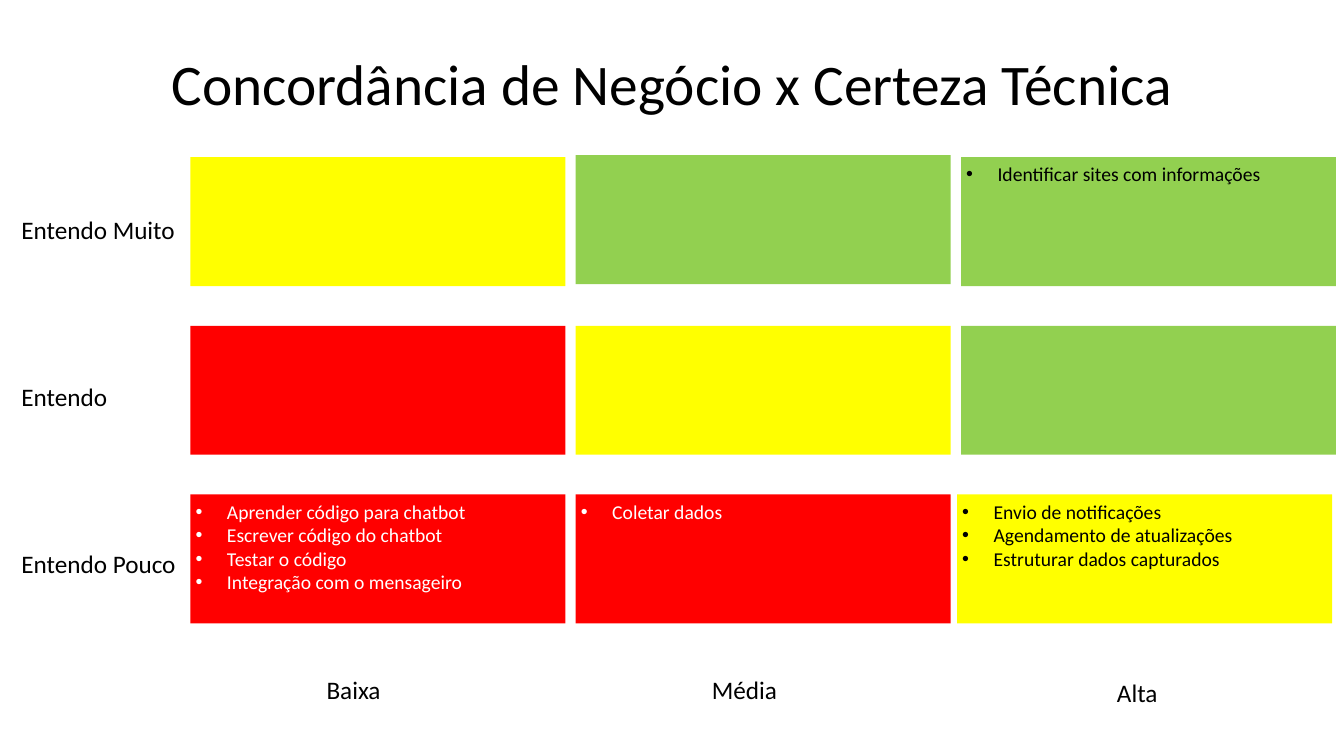
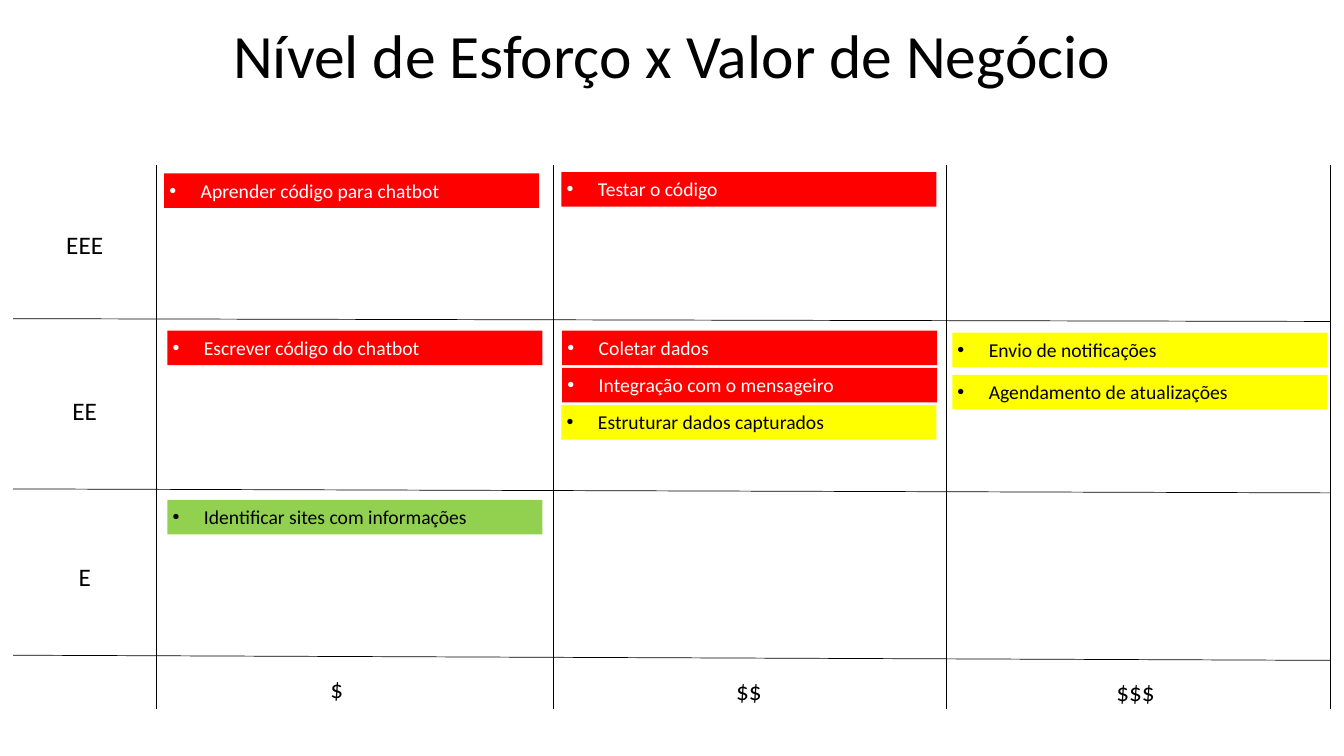
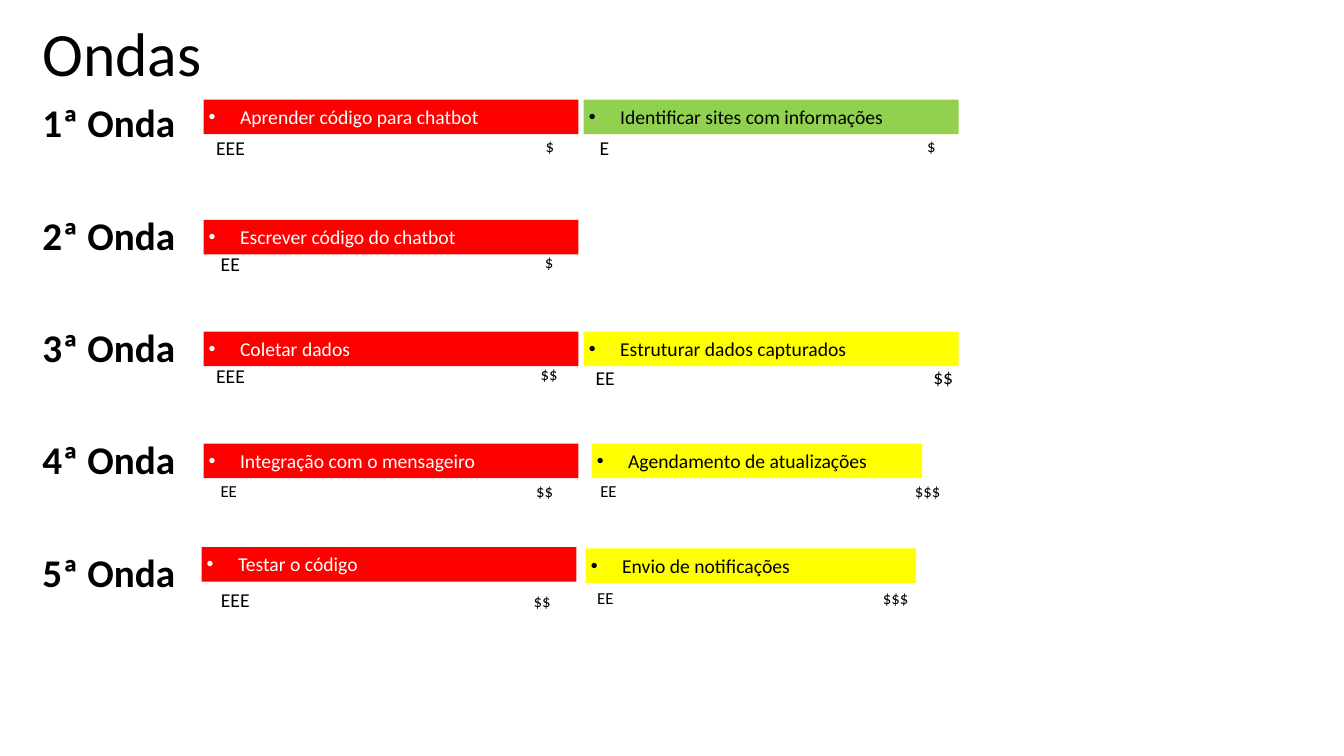
from dataclasses import dataclass

from lxml import etree
from pptx import Presentation
from pptx.dml.color import RGBColor
from pptx.enum.shapes import MSO_CONNECTOR, MSO_SHAPE
from pptx.enum.text import MSO_ANCHOR, MSO_AUTO_SIZE, PP_ALIGN
from pptx.oxml.ns import qn
from pptx.util import Cm, Pt

RECT, LINE = MSO_SHAPE.RECTANGLE, MSO_CONNECTOR.STRAIGHT
TOP, MID, FIXED = MSO_ANCHOR.TOP, MSO_ANCHOR.MIDDLE, MSO_AUTO_SIZE.NONE
LEFT, MIDDLE = PP_ALIGN.LEFT, PP_ALIGN.CENTER

# Shared look; all lengths are in centimetres
FONT = "Calibri"
HUES = {"black": "000000", "white": "FFFFFF", "red": "FF0000",
        "yellow": "FFFF00", "green": "92D050"}
INSET, INDENT = 0.13, 0.79
CARD_W, CARD_H, CELL_H, SLIM_W = 9.45, 0.87, 3.25, 8.33
NOTE_H = {12: 0.77, 14: 0.87, 18: 1.0}


@dataclass
class Task:
    text: str
    hue: str


@dataclass
class Cell:
    hue: str
    keys: tuple = ()
    dx: float = 0
    dy: float = 0


@dataclass
class Card:
    key: str
    x: float
    y: float
    w: float = CARD_W


@dataclass
class Note:
    text: str
    x: float
    y: float
    w: float
    size: int = 18
    align: PP_ALIGN = MIDDLE


TASKS = {
    "learn": Task("Aprender código para chatbot", "red"),
    "write": Task("Escrever código do chatbot", "red"),
    "test": Task("Testar o código", "red"),
    "link": Task("Integração com o mensageiro", "red"),
    "fetch": Task("Coletar dados", "red"),
    "send": Task("Envio de notificações", "yellow"),
    "plan": Task("Agendamento de atualizações", "yellow"),
    "shape": Task("Estruturar dados capturados", "yellow"),
    "sites": Task("Identificar sites com informações", "green"),
}


def rgb(hue: str) -> RGBColor:
    return RGBColor.from_string(HUES[hue])


def set_frame(frame, anchor=TOP) -> None:
    frame.word_wrap = True
    frame.auto_size = FIXED
    frame.vertical_anchor = anchor
    frame.margin_left = frame.margin_right = Cm(INSET)
    frame.margin_top = frame.margin_bottom = Cm(INSET)


def add_run(para, text: str, size: float, hue="black", bold=False) -> None:
    run = para.add_run()
    run.text = text
    font = run.font
    font.name, font.size, font.bold = FONT, Pt(size), bold
    font.color.rgb = rgb(hue)


def add_paras(frame, count: int) -> list:
    return [frame.paragraphs[0]] + [frame.add_paragraph() for _ in range(count - 1)]


def add_bullet(para) -> None:
    props = para._p.get_or_add_pPr()
    props.set("marL", str(Cm(INDENT)))
    props.set("indent", str(-Cm(INDENT)))
    etree.SubElement(props, qn("a:buFont")).set("typeface", "Arial")
    etree.SubElement(props, qn("a:buChar")).set("char", "•")


def add_slide(deck, title: str, x: float, y: float, h: float,
              size: int = 44, align=MIDDLE):
    slide = deck.slides.add_slide(deck.slide_layouts[5])
    head = slide.shapes.title
    head.left, head.top, head.width, head.height = Cm(x), Cm(y), Cm(29.21), Cm(h)
    set_frame(head.text_frame, MID)
    para = head.text_frame.paragraphs[0]
    para.alignment, para.line_spacing = align, 0.9
    add_run(para, title, size)
    return slide


def add_box(slide, x: float, y: float, w: float, h: float,
            hue: str, keys: tuple) -> None:
    box = slide.shapes.add_shape(RECT, Cm(x), Cm(y), Cm(w), Cm(h))
    box.shadow.inherit = False
    box.fill.solid()
    box.fill.fore_color.rgb = rgb(hue)
    box.line.fill.background()
    set_frame(box.text_frame)
    if not keys:
        return
    ink = "white" if hue == "red" else "black"
    for para, key in zip(add_paras(box.text_frame, len(keys)), keys):
        para.alignment = LEFT
        add_bullet(para)
        add_run(para, TASKS[key].text, 14, ink)


def add_card(slide, card: Card) -> None:
    add_box(slide, card.x, card.y, card.w, CARD_H, TASKS[card.key].hue, (card.key,))


def add_note(slide, note: Note) -> None:
    box = slide.shapes.add_textbox(Cm(note.x), Cm(note.y), Cm(note.w),
                                   Cm(NOTE_H[note.size]))
    set_frame(box.text_frame)
    para = box.text_frame.paragraphs[0]
    para.alignment = note.align
    add_run(para, note.text, note.size)


def add_rule(slide, x1: float, y1: float, x2: float, y2: float) -> None:
    rule = slide.shapes.add_connector(LINE, Cm(x1), Cm(y1), Cm(x2), Cm(y2))
    rule.line.color.rgb = rgb("black")
    rule.line.width = Pt(0.5)
    etree.SubElement(rule._element.spPr, qn("a:effectLst"))


# Slide 1: business agreement against technical certainty
GRID = (
    (Cell("yellow"), Cell("green", dy=-0.05), Cell("green", ("sites",))),
    (Cell("red"), Cell("yellow"), Cell("green")),
    (Cell("red", ("learn", "write", "test", "link")), Cell("red", ("fetch",)),
     Cell("yellow", ("send", "plan", "shape"), dx=-0.1)),
)
LEVELS = ("Entendo Muito", "Entendo", "Entendo Pouco")
GRADES = (Note("Baixa", 8.1, 16.87, 1.9, align=LEFT),
          Note("Média", 17.81, 16.87, 2.29, align=LEFT),
          Note("Alta", 28.02, 16.94, 1.85, align=LEFT))


def draw_grid(deck) -> None:
    slide = add_slide(deck, "Concordância de Negócio x Certeza Técnica",
                      2.34, 1.02, 2.34, 41)
    for i, level in enumerate(LEVELS):
        add_note(slide, Note(level, 0.41, 5.28 + 4.2 * i, 4.5, align=LEFT))
    for grade in GRADES:
        add_note(slide, grade)
    for i, row in enumerate(GRID):
        for j, cell in enumerate(row):
            add_box(slide, 4.8 + 9.71 * j + cell.dx, 3.96 + 4.25 * i + cell.dy,
                    CARD_W, CELL_H, cell.hue, cell.keys)


# Slide 2: effort against business value
RULES_X = (3.94, 13.94, 23.85, 33.53)
RULES_Y = ((8.03, 8.1), (12.32, 12.42), (16.51, 16.64))
EFFORTS = ("EEE", "EE", "E")
VALUES = (Note("$", 7.54, 16.84, 1.9), Note("$$", 17.73, 16.89, 2.29),
          Note("$$$", 27.69, 16.92, 1.85))
PLACED = (
    Card("learn", 4.14, 4.37), Card("write", 4.22, 8.33), Card("sites", 4.22, 12.6),
    Card("test", 14.15, 4.34), Card("fetch", 14.17, 8.33),
    Card("link", 14.17, 9.27), Card("shape", 14.15, 10.21),
    Card("send", 24.0, 8.38), Card("plan", 24.0, 9.45),
)


def draw_chart(deck) -> None:
    slide = add_slide(deck, "Nível de Esforço x Valor de Negócio", 2.34, 0.56, 1.85)
    for x in RULES_X:
        add_rule(slide, x, 4.17, x, 17.86)
    for start, end in RULES_Y:
        add_rule(slide, 0.33, start, RULES_X[-1], end)
    for i, effort in enumerate(EFFORTS):
        add_note(slide, Note(effort, 0.74, 5.64 + 4.19 * i, 2.79))
    for value in VALUES:
        add_note(slide, value)
    for card in PLACED:
        add_card(slide, card)


# Slide 3: waves
WAVES = (
    Card("learn", 5.13, 2.51), Card("sites", 14.71, 2.51),
    Card("write", 5.13, 5.54),
    Card("fetch", 5.13, 8.36), Card("shape", 14.71, 8.36),
    Card("link", 5.13, 11.18), Card("plan", 14.91, 11.18, SLIM_W),
    Card("test", 5.08, 13.79), Card("send", 14.76, 13.82, SLIM_W),
)
MARKS = (
    Note("EEE", 5.11, 3.3, 1.4, 14), Note("$", 13.16, 3.3, 1.4, 12),
    Note("E", 14.78, 3.3, 0.91, 14), Note("$", 22.86, 3.3, 1.22, 12),
    Note("EE", 5.41, 6.22, 0.79, 14), Note("$", 13.23, 6.22, 1.22, 12),
    Note("EEE", 5.11, 9.04, 1.4, 14), Note("$$", 13.23, 9.04, 1.22, 12),
    Note("EE", 14.88, 9.09, 1.0, 14, LEFT), Note("$$", 23.39, 9.07, 2.3, 14, LEFT),
    Note("EE", 5.31, 11.99, 0.91, 12), Note("$$", 13.18, 11.99, 1.09, 12),
    Note("EE", 14.94, 11.99, 0.79, 12), Note("$$$", 22.68, 11.99, 1.4, 12),
    Note("EEE", 5.36, 14.68, 1.14, 14), Note("$$", 13.23, 14.76, 0.86, 12),
    Note("EE", 14.86, 14.68, 0.79, 12), Note("$$$", 21.87, 14.68, 1.4, 12),
)


def draw_waves(deck) -> None:
    slide = add_slide(deck, "Ondas", 0.94, 0.53, 1.8, align=LEFT)
    names = slide.shapes.add_textbox(Cm(0.94), Cm(2.49), Cm(32.41), Cm(13.82))
    set_frame(names.text_frame)
    for i, para in enumerate(add_paras(names.text_frame, 5)):
        para.line_spacing = 0.9
        para.space_before = Pt(50 if i else 0)
        add_run(para, f"{i + 1}ª Onda", 28, bold=True)
    for card in WAVES:
        add_card(slide, card)
    for mark in MARKS:
        add_note(slide, mark)


def main() -> None:
    deck = Presentation()
    deck.slide_width, deck.slide_height = Cm(33.87), Cm(19.05)
    for draw in (draw_grid, draw_chart, draw_waves):
        draw(deck)
    deck.save("out.pptx")


if __name__ == "__main__":
    main()
